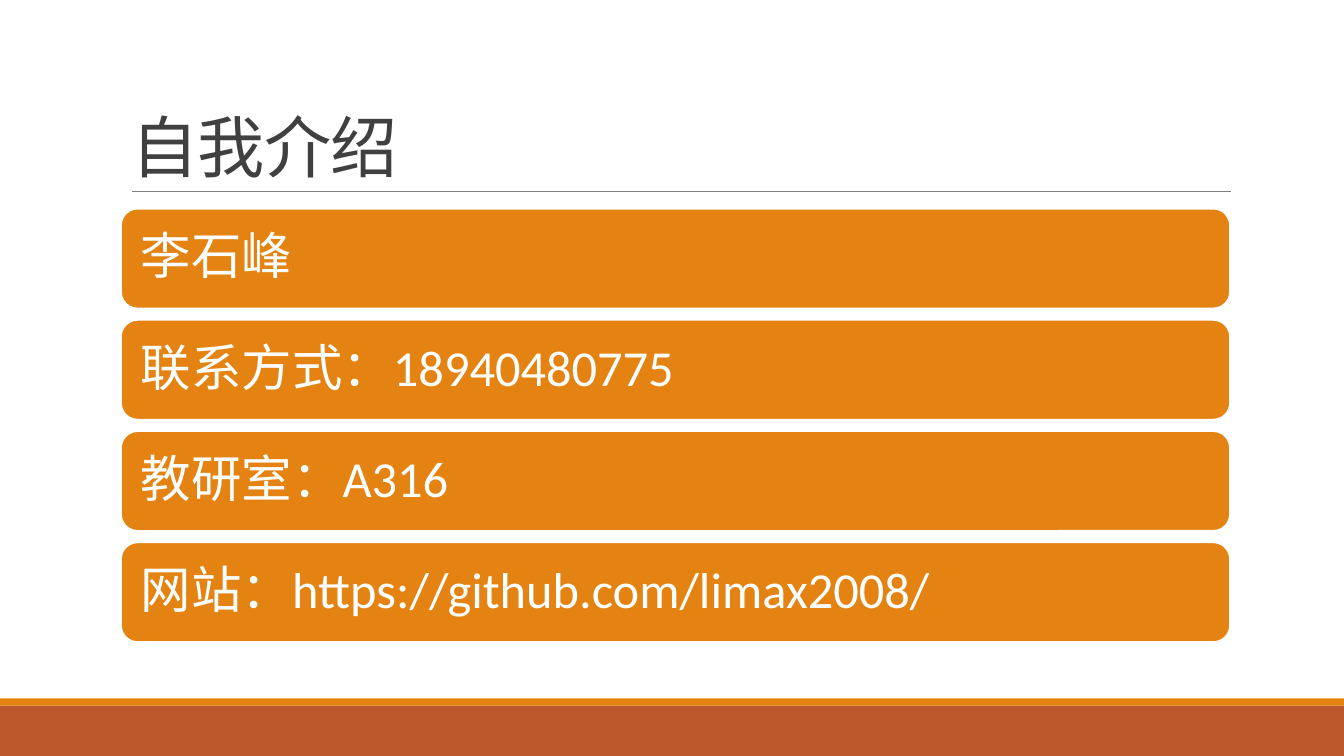
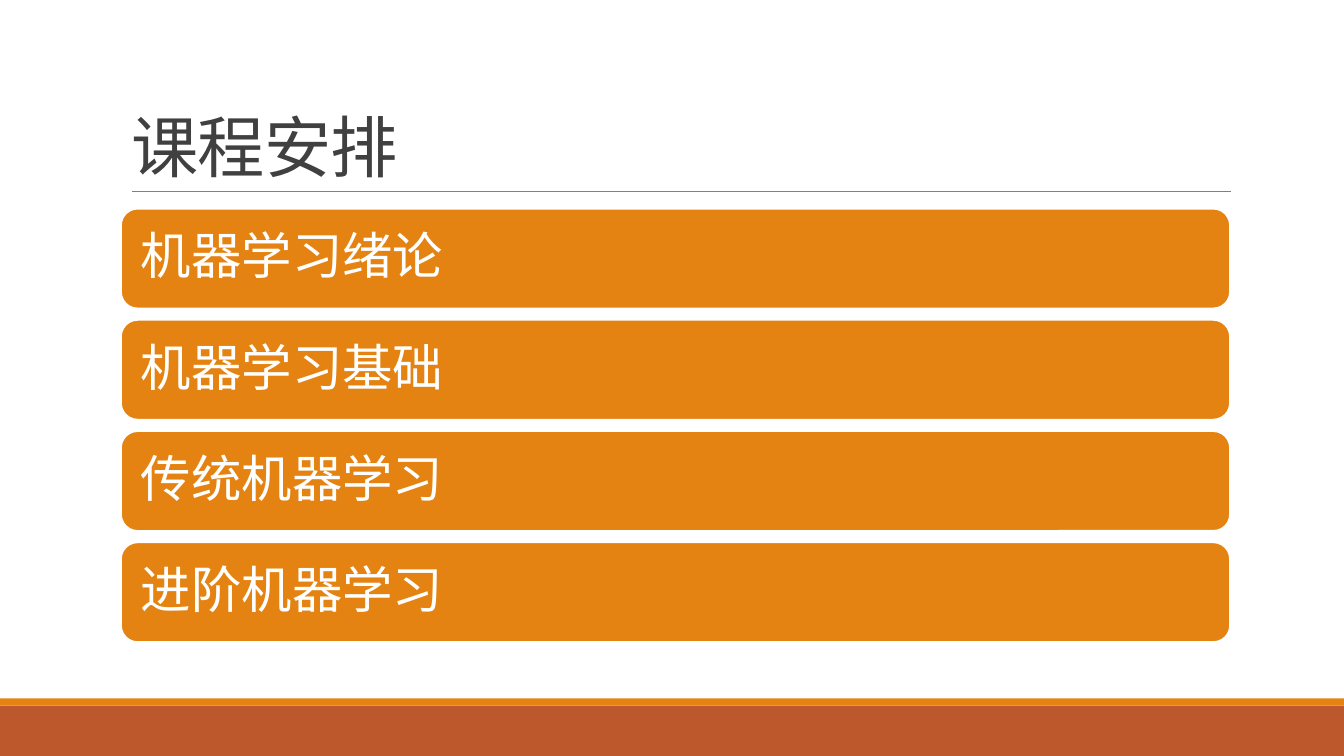
from dataclasses import dataclass

from lxml.etree import SubElement
from pptx import Presentation
from pptx.dml.color import RGBColor
from pptx.enum.shapes import MSO_CONNECTOR, MSO_SHAPE
from pptx.enum.text import MSO_ANCHOR, MSO_AUTO_SIZE, PP_ALIGN
from pptx.oxml.ns import qn
from pptx.slide import Slide, SlideLayout
from pptx.util import Inches, Pt

COLORS = {
    "orange": "E48312",
    "rust": "BD582C",
    "rule": "808080",
    "title": "404040",
    "white": "FFFFFF",
}
FONT = "Calibri"
SLIDE_WIDTH, SLIDE_HEIGHT = 13.33, 7.5
CONTENT_LEFT, CONTENT_WIDTH = 1.2, 11
STACK_TOP, STACK_BOTTOM, BAR_HEIGHT = 2.07, 6.37, 0.99

TITLE_FRAME = {
    "vertical_anchor": MSO_ANCHOR.BOTTOM,
    "auto_size": MSO_AUTO_SIZE.NONE,
    "word_wrap": True,
}
TITLE_PARAGRAPH = {"alignment": PP_ALIGN.LEFT, "line_spacing": 0.85}
BAR_FRAME = {
    "vertical_anchor": MSO_ANCHOR.MIDDLE,
    "word_wrap": True,
    "margin_left": Inches(0.15),
    "margin_right": Inches(0.15),
    "margin_top": Inches(0.2),
    "margin_bottom": Inches(0.2),
}
BAR_PARAGRAPH = {
    "alignment": PP_ALIGN.LEFT,
    "line_spacing": 0.9,
    "space_after": Pt(12.6),
}


@dataclass(frozen=True)
class Band:
    top: float
    height: float
    color: str


@dataclass(frozen=True)
class Topic:
    title: str
    entries: tuple[str, ...]


BANDS = (Band(7, 0.5, "rust"), Band(6.93, 0.07, "orange"))
TOPICS = (
    Topic("自我介绍", (
        "李石峰",
        "联系方式：18940480775",
        "教研室：A316",
        "网站：https://github.com/limax2008/",
    )),
    Topic("课程安排", (
        "机器学习绪论",
        "机器学习基础",
        "传统机器学习",
        "进阶机器学习",
    )),
)


def rgb(name: str) -> RGBColor:
    return RGBColor.from_string(COLORS[name])


def apply_format(target, values: dict) -> None:
    for attribute, value in values.items():
        setattr(target, attribute, value)


def write_text(frame, text: str, size: int, color: str,
               frame_format: dict, paragraph_format: dict):
    """Write one formatted line and return its run."""
    apply_format(frame, frame_format)
    paragraph = frame.paragraphs[0]
    apply_format(paragraph, paragraph_format)
    run = paragraph.add_run()
    run.text = text
    apply_format(run.font, {"name": FONT, "size": Pt(size)})
    run.font.color.rgb = rgb(color)
    return run


def build_layout(layout: SlideLayout, slide: Slide) -> None:
    """Draw the bands and title rule, then move them to the shared layout."""
    decorations = []
    for band in BANDS:
        strip = slide.shapes.add_shape(
            MSO_SHAPE.RECTANGLE, 0, Inches(band.top),
            Inches(SLIDE_WIDTH), Inches(band.height))
        strip.shadow.inherit = False
        strip.fill.solid()
        strip.fill.fore_color.rgb = rgb(band.color)
        strip.line.fill.background()
        decorations.append(strip)

    rule = slide.shapes.add_connector(
        MSO_CONNECTOR.STRAIGHT, Inches(1.31), Inches(1.9),
        Inches(12.21), Inches(1.9))
    rule.line.color.rgb = rgb("rule")
    rule.line.width = Pt(0.5)
    SubElement(rule.element.spPr, qn("a:effectLst"))
    decorations.append(rule)

    first_id = max(shape.shape_id for shape in layout.shapes) + 1
    for number, shape in enumerate(decorations, first_id):
        shape.element.xpath(".//p:cNvPr")[0].set("id", str(number))
        layout.shapes.element.append(shape.element)


def add_title(slide: Slide, text: str) -> None:
    title = slide.shapes.title
    apply_format(title, {
        "left": Inches(CONTENT_LEFT), "top": Inches(0.31),
        "width": Inches(CONTENT_WIDTH), "height": Inches(1.59),
    })
    run = write_text(title.text_frame, text, 48, "title",
                     TITLE_FRAME, TITLE_PARAGRAPH)
    run.font.element.set("spc", "-50") if hasattr(run.font, "element") \
        else run.text and paragraph_spacing(title)


def paragraph_spacing(title) -> None:
    """Tighten the letters of a title by half a point."""
    for properties in title.element.xpath(".//a:rPr"):
        properties.set("spc", "-50")


def add_bars(slide: Slide, entries: tuple[str, ...]) -> None:
    pitch = (STACK_BOTTOM - STACK_TOP - BAR_HEIGHT) / (len(entries) - 1)
    for index, entry in enumerate(entries):
        bar = slide.shapes.add_shape(
            MSO_SHAPE.ROUNDED_RECTANGLE, Inches(CONTENT_LEFT),
            Inches(STACK_TOP + index * pitch),
            Inches(CONTENT_WIDTH), Inches(BAR_HEIGHT))
        bar.shadow.inherit = False
        bar.fill.solid()
        bar.fill.fore_color.rgb = rgb("orange")
        bar.line.color.rgb = rgb("white")
        bar.line.width = Pt(1.25)
        write_text(bar.text_frame, entry, 36, "white",
                   BAR_FRAME, BAR_PARAGRAPH)


def main() -> None:
    presentation = Presentation()
    presentation.slide_width = Inches(SLIDE_WIDTH)
    presentation.slide_height = Inches(SLIDE_HEIGHT)
    layout = presentation.slide_layouts.get_by_name("Title Only")

    for index, topic in enumerate(TOPICS):
        slide = presentation.slides.add_slide(layout)
        if index == 0:
            build_layout(layout, slide)
        add_title(slide, topic.title)
        add_bars(slide, topic.entries)

    presentation.save("out.pptx")


if __name__ == "__main__":
    main()
